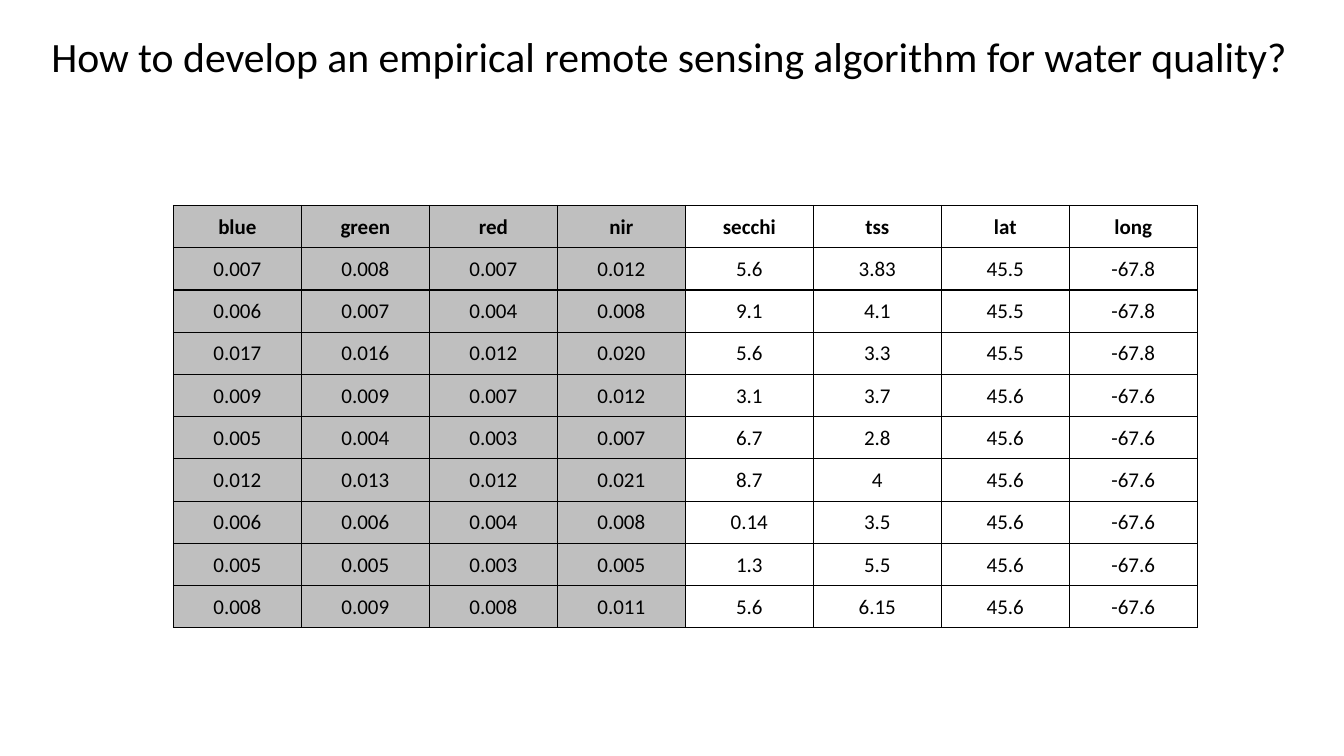
from pptx import Presentation
from pptx.dml.color import RGBColor
from pptx.enum.text import MSO_ANCHOR, PP_ALIGN
from pptx.oxml.ns import qn
from pptx.util import Pt
from lxml.etree import SubElement

# Content
TITLE = "How to develop an empirical remote sensing algorithm for water quality?"
HEADS = ["blue", "green", "red", "nir", "secchi", "tss", "lat", "long"]
ROWS = [
    ["0.007", "0.008", "0.007", "0.012", "5.6", "3.83", "45.5", "-67.8"],
    ["0.006", "0.007", "0.004", "0.008", "9.1", "4.1", "45.5", "-67.8"],
    ["0.017", "0.016", "0.012", "0.020", "5.6", "3.3", "45.5", "-67.8"],
    ["0.009", "0.009", "0.007", "0.012", "3.1", "3.7", "45.6", "-67.6"],
    ["0.005", "0.004", "0.003", "0.007", "6.7", "2.8", "45.6", "-67.6"],
    ["0.012", "0.013", "0.012", "0.021", "8.7", "4", "45.6", "-67.6"],
    ["0.006", "0.006", "0.004", "0.008", "0.14", "3.5", "45.6", "-67.6"],
    ["0.005", "0.005", "0.003", "0.005", "1.3", "5.5", "45.6", "-67.6"],
    ["0.008", "0.009", "0.008", "0.011", "5.6", "6.15", "45.6", "-67.6"],
]
BANDS = 4  # leading columns that hold satellite bands

# Theme and layout
THEME = {"font": "Calibri", "ink": "000000", "band": "BFBFBF",
         "title": 29.8, "cell": 15, "line": 1}
LEFT, TOP, COL, ROW = 123.84, 146.8, 91.44, 30.17


def write(frame, text, size, bold=False):
    para = frame.paragraphs[0]
    para.alignment = PP_ALIGN.CENTER
    run = para.add_run()
    run.text = text
    font = run.font
    font.name, font.size, font.bold = THEME["font"], Pt(size), bold
    font.color.rgb = RGBColor.from_string(THEME["ink"])


def border(cell):
    props = cell._tc.get_or_add_tcPr()
    for side in ("lnL", "lnR", "lnT", "lnB"):
        line = SubElement(props, qn("a:" + side), w=str(Pt(THEME["line"])))
        fill = SubElement(line, qn("a:solidFill"))
        SubElement(fill, qn("a:srgbClr"), val=THEME["ink"])


def add_title(slide):
    box = slide.shapes.add_textbox(Pt(19.44), Pt(18), Pt(917.28), Pt(43.2))
    frame = box.text_frame
    frame.word_wrap = True
    frame.vertical_anchor = MSO_ANCHOR.BOTTOM
    write(frame, TITLE, THEME["title"])


def add_grid(slide):
    grid = [HEADS] + ROWS
    high, wide = len(grid), len(HEADS)
    table = slide.shapes.add_table(high, wide, Pt(LEFT), Pt(TOP),
                                   Pt(COL * wide), Pt(ROW * high)).table
    table.first_row = table.horz_banding = False
    for col in table.columns:
        col.width = Pt(COL)
    for r, texts in enumerate(grid):
        table.rows[r].height = Pt(ROW)
        for c, text in enumerate(texts):
            cell = table.cell(r, c)
            cell.margin_left = cell.margin_right = cell.margin_top = Pt(0.72)
            cell.margin_bottom = Pt(0)
            cell.vertical_anchor = MSO_ANCHOR.MIDDLE
            border(cell)
            if c < BANDS:
                cell.fill.solid()
                cell.fill.fore_color.rgb = RGBColor.from_string(THEME["band"])
            else:
                cell.fill.background()
            write(cell.text_frame, text, THEME["cell"], bold=r == 0)


def main():
    deck = Presentation()
    deck.slide_width, deck.slide_height = Pt(960), Pt(540)
    slide = deck.slides.add_slide(deck.slide_layouts[6])
    add_title(slide)
    add_grid(slide)
    deck.save("out.pptx")


if __name__ == "__main__":
    main()
